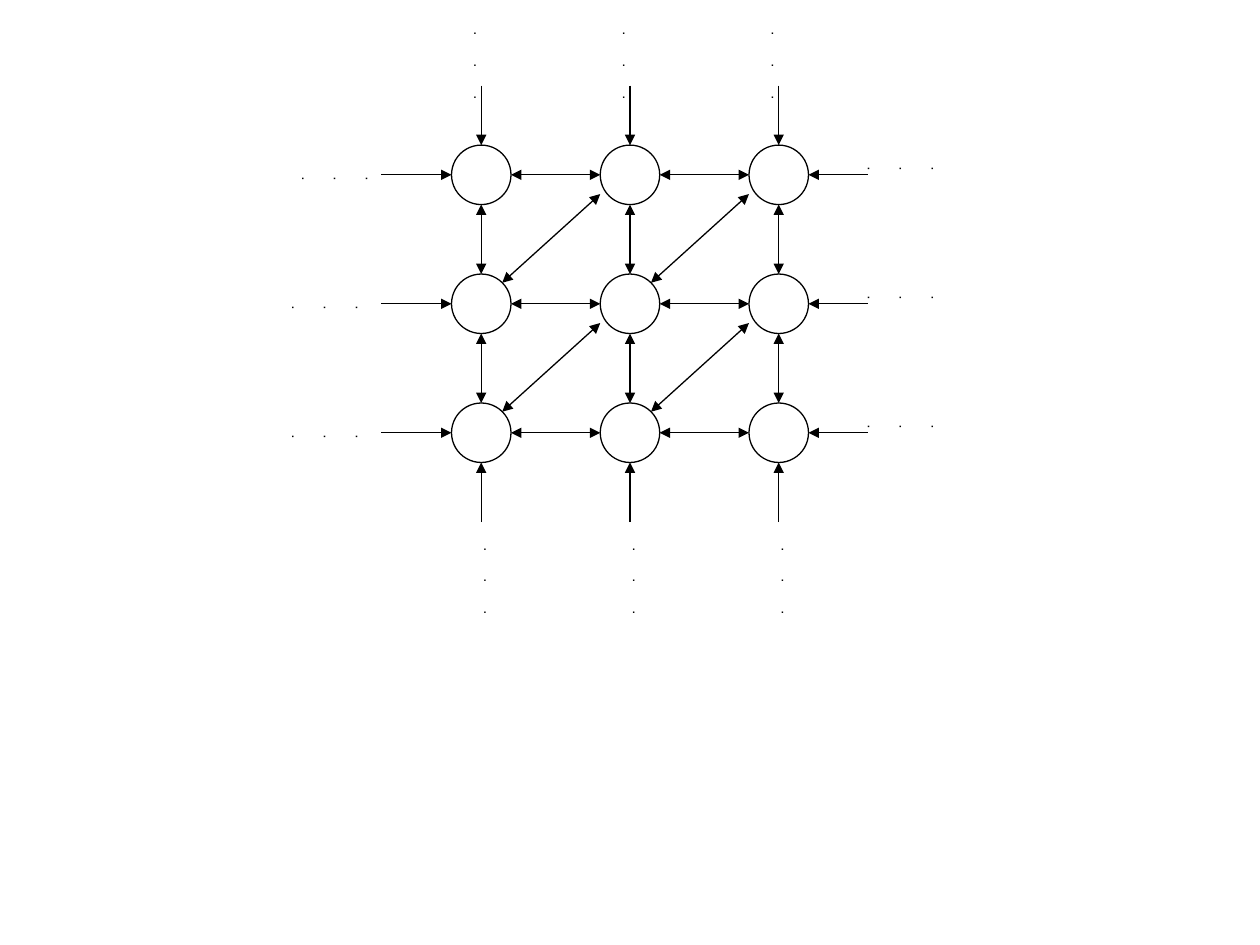
from itertools import product

from lxml.etree import SubElement
from pptx import Presentation
from pptx.dml.color import RGBColor
from pptx.enum.shapes import MSO_CONNECTOR as Link, MSO_SHAPE as Kind
from pptx.enum.text import MSO_AUTO_SIZE as Fit
from pptx.oxml.ns import qn
from pptx.util import Pt

COLS = [275, 360, 445]
ROWS = [99.9, 173.6, 247.3]
RAD = 17
STUB = 34
LEFT_STUB = 40
DIAG = 12
DOTS_W, DOTS_H = 21.6, 56.2


def paint(code):
    return RGBColor.from_string(code)


class Sketch:
    ink = "000000"
    weight = 0.75
    font = {"name": "Arial", "size": Pt(10), "bold": True}
    para = {"space_before": Pt(6.2)}

    def __init__(self, slide):
        self.shapes = slide.shapes

    def stroke(self, item):
        item.line.color.rgb = paint(self.ink)
        item.line.width = Pt(self.weight)

    def node(self, x, y):
        ring = self.shapes.add_shape(
            Kind.OVAL, Pt(x - RAD), Pt(y - RAD), Pt(2 * RAD), Pt(2 * RAD))
        ring.shadow.inherit = False
        ring.fill.background()
        self.stroke(ring)

    def arrow(self, x1, y1, x2, y2, both=False):
        """Draw a line with a head at its end, or at both ends."""
        line = self.shapes.add_connector(
            Link.STRAIGHT, Pt(x1), Pt(y1), Pt(x2), Pt(y2))
        self.stroke(line)
        props = line._element.spPr
        SubElement(props, qn("a:effectLst"))
        edge = props.find(qn("a:ln"))
        for end in ["headEnd", "tailEnd"] if both else ["tailEnd"]:
            SubElement(edge, qn(f"a:{end}"), type="triangle")

    def dots(self, x, y, turn=0):
        """Place three stacked dots, turned on their side if asked."""
        box = self.shapes.add_textbox(Pt(x), Pt(y), Pt(DOTS_W), Pt(DOTS_H))
        box.rotation = turn
        frame = box.text_frame
        frame.word_wrap = True
        frame.auto_size = Fit.SHAPE_TO_FIT_TEXT
        frame.text = "\n".join("...")
        for para in frame.paragraphs:
            for key, value in self.para.items():
                setattr(para, key, value)
            font = para.runs[0].font
            for key, value in self.font.items():
                setattr(font, key, value)
            font.color.rgb = paint(self.ink)
            font._element.set("baseline", "30000")


def main():
    deck = Presentation()
    deck.slide_width, deck.slide_height = Pt(720), Pt(540)
    art = Sketch(deck.slides.add_slide(deck.slide_layouts[6]))

    for x, y in product(COLS, ROWS):
        art.node(x, y)

    col_gaps = list(zip(COLS, COLS[1:]))
    row_gaps = list(zip(ROWS, ROWS[1:]))
    for x, (top, low) in product(COLS, row_gaps):
        art.arrow(x, top + RAD, x, low - RAD, both=True)
    for (left, right), y in product(col_gaps, ROWS):
        art.arrow(left + RAD, y, right - RAD, y, both=True)
    for (left, right), (top, low) in product(col_gaps, row_gaps):
        art.arrow(left + DIAG, low - DIAG, right - RAD, top + DIAG - 1,
                  both=True)

    first, last = ROWS[0] - RAD, ROWS[-1] + RAD
    for x in COLS:
        art.arrow(x, first - STUB, x, first)
        art.arrow(x, last + STUB, x, last)
        art.dots(x - 11.4, 9.4)
        art.dots(x - 5.7, 303.8)

    first, last = COLS[0] - RAD, COLS[-1] + RAD
    for y in ROWS:
        art.arrow(first - LEFT_STUB, y, first, y)
        art.arrow(last + STUB, y, last, y)
        art.dots(180.7 if y == ROWS[0] else 175, y - 22.8, turn=90)
        art.dots(504, y - 28.5, turn=90)

    deck.save("out.pptx")


if __name__ == "__main__":
    main()
